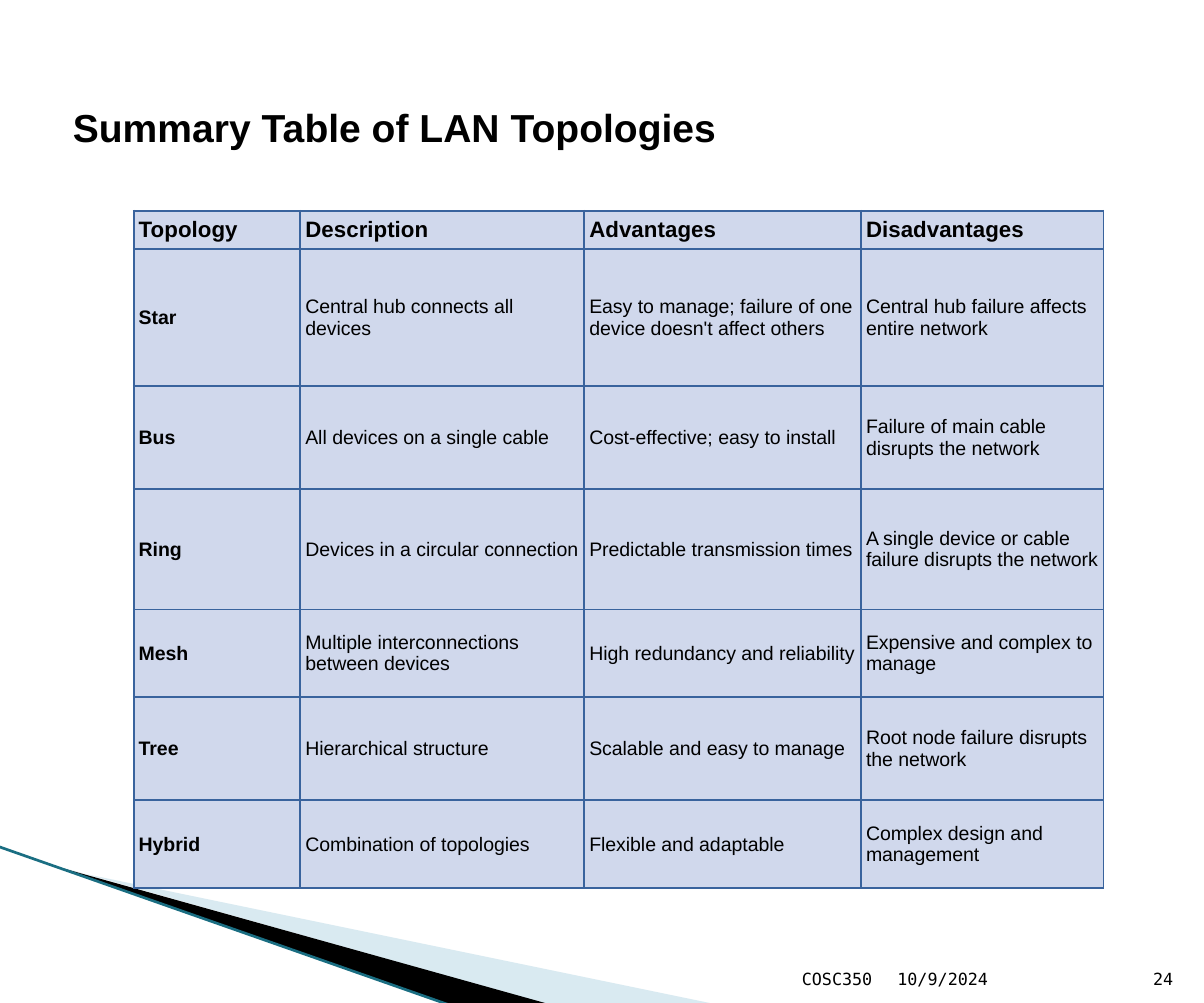
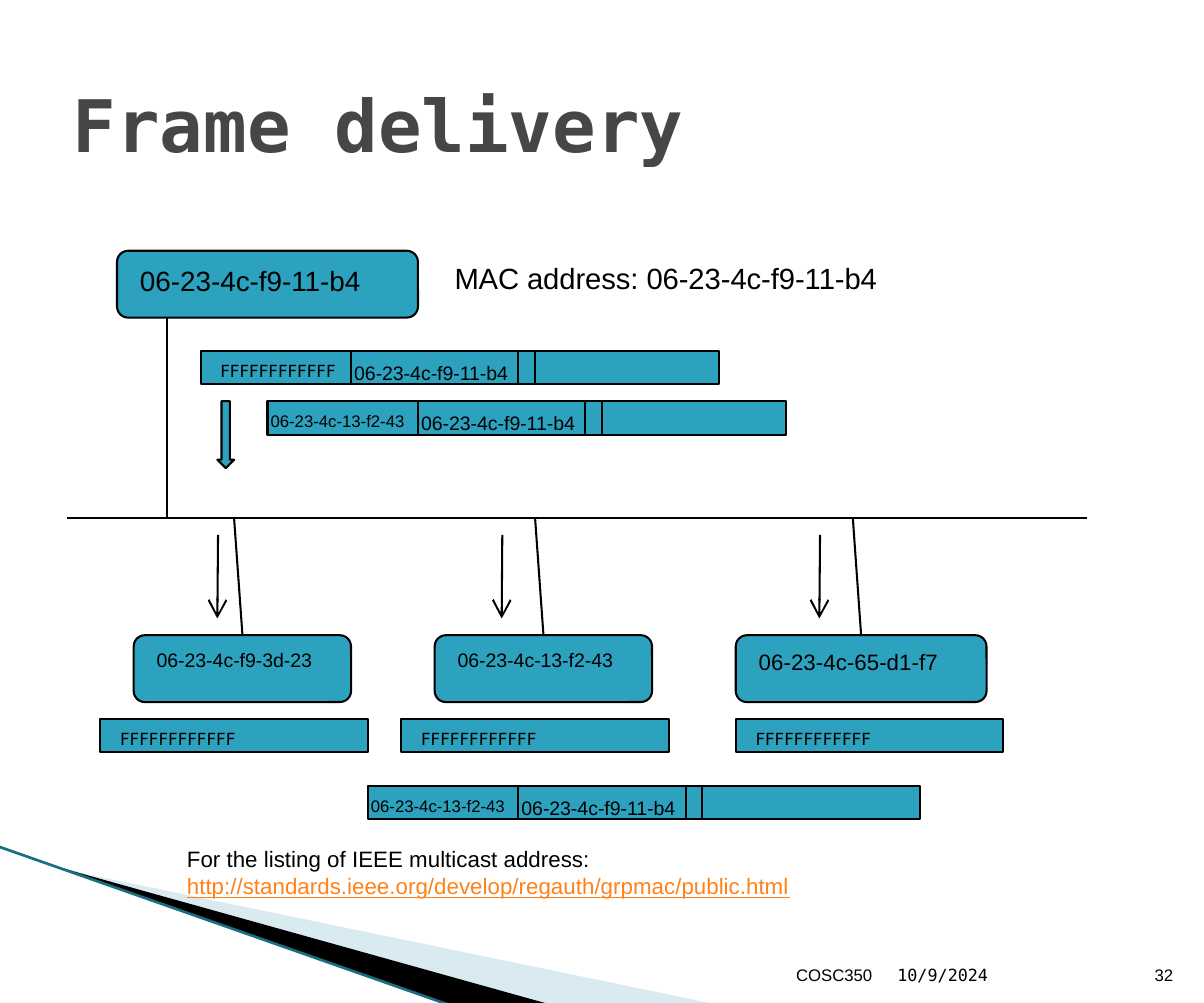
"""Build two LAN slides: a topology table and a frame delivery diagram."""
import copy
from dataclasses import dataclass

import lxml.etree
import pptx
import pptx.dml.color
import pptx.enum.dml
import pptx.enum.shapes
import pptx.enum.text
import pptx.oxml.ns
import pptx.shapes.autoshape
import pptx.shapes.connector
import pptx.slide
import pptx.table
import pptx.text.text
import pptx.util

COLORS = {
    "text": "000000",
    "title": "464646",
    "node": "2DA2BF",
    "link": "FF8119",
    "cell": "D0D8EC",
    "border": "39639D",
    "wedge": "A0CBDC",
    "edge": "1A6E82",
}
SHAPE = pptx.enum.shapes.MSO_SHAPE
ALIGN = pptx.enum.text.PP_ALIGN
ANCHOR = pptx.enum.text.MSO_ANCHOR
AUTO_SIZE = pptx.enum.text.MSO_AUTO_SIZE
Pt = pptx.util.Pt
qn = pptx.oxml.ns.qn

BUS_Y = 186
STATION_Y = 228
BAR_HEIGHT = 12
FIELD_OFFSETS = (54, 114, 120)
BROADCAST = "FFFFFFFFFFFF"
SENDER = "06-23-4c-f9-11-b4"
RECEIVER = "06-23-4c-13-f2-43"

COLUMN_WIDTHS = (59.8, 101.9, 99.3, 87)
ROW_HEIGHTS = (13.8, 49.1, 37.1, 43.2, 31.4, 37.1, 31.6)
TOPOLOGIES = (
    ("Topology", "Description", "Advantages", "Disadvantages"),
    ("Star", "Central hub connects all devices",
     "Easy to manage; failure of one device doesn't affect others",
     "Central hub failure affects entire network"),
    ("Bus", "All devices on a single cable", "Cost-effective; easy to install",
     "Failure of main cable disrupts the network"),
    ("Ring", "Devices in a circular connection", "Predictable transmission times",
     "A single device or cable failure disrupts the network"),
    ("Mesh", "Multiple interconnections between devices",
     "High redundancy and reliability", "Expensive and complex to manage"),
    ("Tree", "Hierarchical structure", "Scalable and easy to manage",
     "Root node failure disrupts the network"),
    ("Hybrid", "Combination of topologies", "Flexible and adaptable",
     "Complex design and management"),
)


@dataclass(frozen=True)
class Box:
    left: float
    top: float
    width: float
    height: float

    def lengths(self) -> tuple[int, ...]:
        return tuple(Pt(value) for value in (self.left, self.top, self.width, self.height))


@dataclass(frozen=True)
class TextStyle:
    size: float
    font: str = "Arial"
    color: str = "text"
    bold: bool = False
    underline: bool = False


@dataclass(frozen=True)
class Station:
    left: float
    width: float
    address: str
    size: float
    arrow_x: float
    delivered_left: float


@dataclass(frozen=True)
class Frame:
    left: float
    top: float
    width: float
    destination: str


STATIONS = (
    Station(48, 78, "06-23-4c-f9-3d-23", 7, 78, 36),
    Station(156, 78, RECEIVER, 7, 180, 144),
    Station(264, 90, "06-23-4c-65-d1-f7", 8, 294, 264),
)
FRAMES = (
    Frame(72, 126, 186, BROADCAST),
    Frame(96, 144, 186, RECEIVER),
    Frame(132, 282, 198, RECEIVER),
)
BROADCAST_STYLE = TextStyle(6, "DejaVu Sans")
MONO_STYLE = TextStyle(6, "DejaVu Sans Mono")


def rgb(name: str) -> pptx.dml.color.RGBColor:
    return pptx.dml.color.RGBColor.from_string(COLORS[name])


def add_run(paragraph: pptx.text.text._Paragraph, text: str, style: TextStyle) -> None:
    run = paragraph.add_run()
    run.text = text
    run.font.name = style.font
    run.font.size = Pt(style.size)
    run.font.bold = style.bold
    run.font.underline = style.underline
    run.font.color.rgb = rgb(style.color)


def set_margins(target: pptx.text.text.TextFrame | pptx.table._Cell,
                horizontal: float, vertical: float) -> None:
    target.margin_left = target.margin_right = Pt(horizontal)
    target.margin_top = target.margin_bottom = Pt(vertical)


def add_title(slide: pptx.slide.Slide, text: str, top: float, style: TextStyle) -> None:
    title = slide.shapes.title
    title.left, title.top, title.width, title.height = Box(21.6, top, 388.8, 59.8).lengths()
    frame = title.text_frame
    frame.auto_size = AUTO_SIZE.NONE
    frame.word_wrap = True
    frame.vertical_anchor = ANCHOR.MIDDLE
    set_margins(frame, 4.5, 2.25)
    frame.paragraphs[0].alignment = ALIGN.LEFT
    add_run(frame.paragraphs[0], text, style)


def add_footer(slide: pptx.slide.Slide, top: float, number: str, style: TextStyle) -> None:
    parts = (
        ("COSC350", 206.6, 110.9, ALIGN.RIGHT, style),
        ("10/9/2024", 317.5, 90.7, ALIGN.LEFT, MONO_STYLE),
        (number, 408.2, 17.3, ALIGN.RIGHT, style),
    )
    for text, left, width, alignment, part_style in parts:
        shape = slide.shapes.add_textbox(*Box(left, top, width, 19.4).lengths())
        frame = shape.text_frame
        frame.word_wrap = True
        frame.vertical_anchor = ANCHOR.BOTTOM
        set_margins(frame, 4.5, 2.25)
        frame.paragraphs[0].alignment = alignment
        add_run(frame.paragraphs[0], text, part_style)


def add_line(slide: pptx.slide.Slide, start: tuple[float, float], end: tuple[float, float],
             color: str = "text", width: float = 0.75,
             arrow: bool = False) -> pptx.shapes.connector.Connector:
    connector = slide.shapes.add_connector(
        pptx.enum.shapes.MSO_CONNECTOR.STRAIGHT, *(Pt(value) for value in start + end))
    connector.line.color.rgb = rgb(color)
    connector.line.width = Pt(width)
    properties = connector.element.spPr
    if arrow:
        lxml.etree.SubElement(properties.find(qn("a:ln")), qn("a:tailEnd"), type="arrow")
    lxml.etree.SubElement(properties, qn("a:effectLst"))
    return connector


def add_node(slide: pptx.slide.Slide, kind: SHAPE, box: Box, text: str = "",
             style: TextStyle = BROADCAST_STYLE) -> pptx.shapes.autoshape.Shape:
    shape = slide.shapes.add_shape(kind, *box.lengths())
    shape.shadow.inherit = False
    shape.fill.solid()
    shape.fill.fore_color.rgb = rgb("node")
    shape.line.color.rgb = rgb("text")
    shape.line.width = Pt(0.75)
    if text:
        frame = shape.text_frame
        frame.word_wrap = True
        frame.vertical_anchor = ANCHOR.TOP
        frame.paragraphs[0].alignment = ALIGN.LEFT
        add_run(frame.paragraphs[0], text, style)
    return shape


def add_label(slide: pptx.slide.Slide, box: Box, runs: list[tuple[str, TextStyle]],
              wrap: bool = False) -> None:
    frame = slide.shapes.add_textbox(*box.lengths()).text_frame
    frame.word_wrap = wrap
    frame.auto_size = AUTO_SIZE.SHAPE_TO_FIT_TEXT
    for text, style in runs:
        add_run(frame.paragraphs[0], text, style)


def add_wedge(slide: pptx.slide.Slide, points: list[tuple[float, float]],
              color: str) -> pptx.shapes.autoshape.Shape:
    first, *others = [(Pt(x), Pt(y)) for x, y in points]
    builder = slide.shapes.build_freeform(*first)
    builder.add_line_segments(others)
    shape = builder.convert_to_shape()
    shape.shadow.inherit = False
    shape.fill.solid()
    shape.fill.fore_color.rgb = rgb(color)
    shape.line.fill.background()
    return shape


def decorate_layout(layout: pptx.slide.SlideLayout, slide: pptx.slide.Slide) -> None:
    for placeholder in list(layout.placeholders):
        if placeholder.placeholder_format.type != pptx.enum.shapes.PP_PLACEHOLDER.TITLE:
            layout.placeholders.element.remove(placeholder.element)
    light = add_wedge(slide, [(23.8, 312.3), (257, 360.5), (196.6, 360.5), (23.8, 311.8)], "wedge")
    color = light.element.spPr.find(".//" + qn("a:srgbClr"))
    lxml.etree.SubElement(color, qn("a:alpha"), val="40000")
    dark = add_wedge(slide, [(23, 311.8), (197.3, 360.5), (160.6, 360.5)], "text")
    edge = add_line(slide, (-0.7, 303.8), (160.6, 360.5), "edge", 0.95)
    for shape in (light, dark, edge):
        layout.shapes.element.append(shape.element)


def add_borders(cell: pptx.table._Cell) -> None:
    properties = cell._tc.get_or_add_tcPr()
    for index, side in enumerate(("a:lnL", "a:lnR", "a:lnT", "a:lnB")):
        line = lxml.etree.Element(qn(side), w=str(Pt(0.75)))
        fill = lxml.etree.SubElement(line, qn("a:solidFill"))
        lxml.etree.SubElement(fill, qn("a:srgbClr"), val=COLORS["border"])
        properties.insert(index, line)


def build_topologies(slide: pptx.slide.Slide) -> None:
    add_title(slide, "Summary Table of LAN Topologies", 15.8, TextStyle(14, bold=True))
    add_footer(slide, 337.7, "24", MONO_STYLE)
    box = Box(48, 75.6, sum(COLUMN_WIDTHS), sum(ROW_HEIGHTS))
    table = slide.shapes.add_table(len(ROW_HEIGHTS), len(COLUMN_WIDTHS), *box.lengths()).table
    table.first_row = table.horz_banding = False
    for column, width in zip(table.columns, COLUMN_WIDTHS):
        column.width = Pt(width)
    for row_index, (row, height) in enumerate(zip(table.rows, ROW_HEIGHTS)):
        row.height = Pt(height)
        for column_index, cell in enumerate(row.cells):
            header = row_index == 0
            cell.fill.solid()
            cell.fill.fore_color.rgb = rgb("cell")
            add_borders(cell)
            cell.vertical_anchor = ANCHOR.MIDDLE
            set_margins(cell, 1.8, 0.9)
            style = TextStyle(8 if header else 7, bold=header or column_index == 0)
            add_run(cell.text_frame.paragraphs[0], TOPOLOGIES[row_index][column_index], style)


def add_frame(slide: pptx.slide.Slide, frame: Frame) -> None:
    broadcast = frame.destination == BROADCAST
    add_node(slide, SHAPE.RECTANGLE, Box(frame.left, frame.top, frame.width, BAR_HEIGHT),
             BROADCAST if broadcast else "")
    for offset in FIELD_OFFSETS:
        x = frame.left + offset
        add_line(slide, (x, frame.top), (x, frame.top + BAR_HEIGHT))
    add_label(slide, Box(frame.left + 48, frame.top, 71.3, 15.8), [(SENDER, TextStyle(7))])
    if not broadcast:
        add_label(slide, Box(frame.left - 6, frame.top, 63.4, 14.4),
                  [(frame.destination, TextStyle(6))])


def add_station(slide: pptx.slide.Slide, station: Station) -> None:
    node = add_node(slide, SHAPE.ROUNDED_RECTANGLE,
                    Box(station.left, STATION_Y, station.width, 24),
                    station.address, TextStyle(station.size))
    middle = station.left + station.width / 2
    add_line(slide, (middle - 3, BUS_Y), (middle, STATION_Y)).end_connect(node, 0)
    add_line(slide, (station.arrow_x + 0.25, 192), (station.arrow_x, 222), arrow=True)
    add_node(slide, SHAPE.RECTANGLE, Box(station.delivered_left, 258, 96, BAR_HEIGHT), BROADCAST)


def build_delivery(slide: pptx.slide.Slide) -> None:
    add_title(slide, "Frame delivery", 14.4,
              TextStyle(26, "DejaVu Sans Mono", "title", bold=True))
    add_footer(slide, 336.2, "32", TextStyle(6))
    add_node(slide, SHAPE.ROUNDED_RECTANGLE, Box(42, 90, 108, 24), SENDER, TextStyle(10))
    add_label(slide, Box(156, 90, 170, 20.2), [(f"MAC address: {SENDER}", TextStyle(10.5))])
    add_line(slide, (24, BUS_Y), (390, BUS_Y))
    add_line(slide, (60, 114), (60, BUS_Y))
    add_node(slide, SHAPE.DOWN_ARROW, Box(78, 144, 6, 24))
    for frame in FRAMES:
        add_frame(slide, frame)
    for station in STATIONS:
        add_station(slide, station)
    add_label(slide, Box(60, 300, 324, 26.6), [
        ("For the listing of IEEE multicast address: ", TextStyle(8)),
        ("http://standards.ieee.org/develop/regauth/grpmac/public.html",
         TextStyle(8, color="link", underline=True)),
    ], wrap=True)


def main() -> None:
    presentation = pptx.Presentation()
    presentation.slide_width, presentation.slide_height = Pt(432), Pt(360)
    layout = presentation.slide_layouts[5]
    topologies, delivery = (presentation.slides.add_slide(layout) for _ in range(2))
    decorate_layout(layout, topologies)
    build_topologies(topologies)
    build_delivery(delivery)
    presentation.save("out.pptx")


if __name__ == "__main__":
    main()
